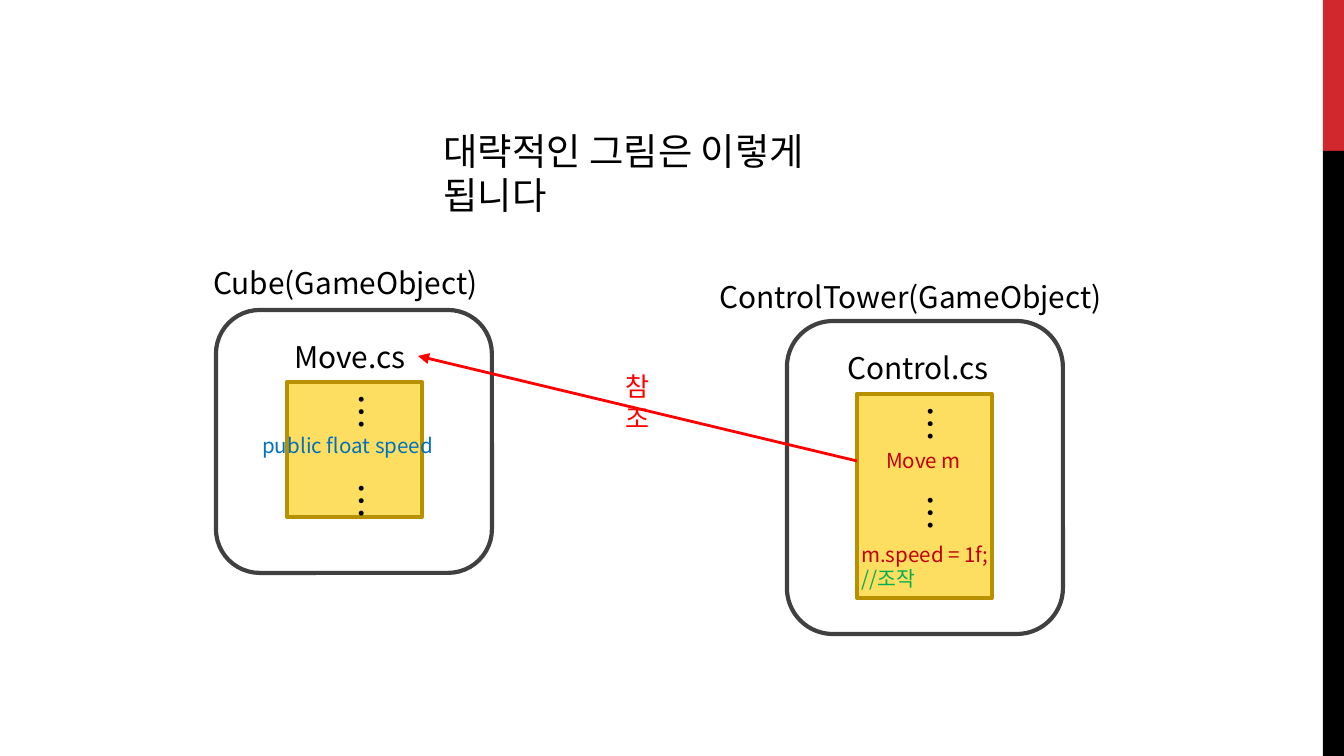
from dataclasses import dataclass

from lxml import etree
from pptx import Presentation
from pptx.dml import color as col
from pptx.enum import shapes, text
from pptx.oxml import ns
from pptx.util import Pt

SCALE = 9144000 / 1344
FONT = "Noto Sans CJK KR"
KIND = shapes.MSO_SHAPE


@dataclass
class Rect:
    x: int
    y: int
    w: int
    h: int


@dataclass
class Code:
    at: Rect
    lines: list[tuple[str, str]]


@dataclass
class Panel:
    frame: Rect
    box: Rect
    name: str
    label: Rect
    file: str
    tab: Rect
    codes: list[Code]


def px(n: int) -> int:
    return round(n * SCALE)


def place(r: Rect) -> list[int]:
    return [px(n) for n in (r.x, r.y, r.w, r.h)]


def rgb(tone: str) -> col.RGBColor:
    return col.RGBColor.from_string(tone)


def write(frame, lines: list[tuple[str, str]], size: int = 16, vert: str = "horz") -> None:
    frame.word_wrap = True
    frame.auto_size = text.MSO_AUTO_SIZE.NONE
    frame.vertical_anchor = text.MSO_ANCHOR.TOP
    frame._txBody.bodyPr.set("vert", vert)
    for i, (words, tone) in enumerate(lines):
        para = frame.add_paragraph() if i else frame.paragraphs[0]
        para.alignment = text.PP_ALIGN.LEFT
        run = para.add_run()
        run.text = words
        run.font.size = Pt(size)
        run.font.name = FONT
        run.font.color.rgb = rgb(tone)
        etree.SubElement(run._r.get_or_add_rPr(), ns.qn("a:ea"), typeface=FONT)


def note(slide, at: Rect, lines: list[tuple[str, str]], **form) -> None:
    write(slide.shapes.add_textbox(*place(at)).text_frame, lines, **form)


def block(slide, at: Rect, kind=KIND.RECTANGLE, fill: str = "", line: str = "") -> None:
    shape = slide.shapes.add_shape(kind, *place(at))
    shape.shadow.inherit = False
    if fill:
        shape.fill.solid()
        shape.fill.fore_color.rgb = rgb(fill)
    else:
        shape.fill.background()
    if line:
        shape.line.color.rgb = rgb(line)
        shape.line.width = Pt(2.25)
    else:
        shape.line.fill.background()


def arrow(slide, x1: int, y1: int, x2: int, y2: int, tone: str) -> None:
    link = slide.shapes.add_connector(
        shapes.MSO_CONNECTOR.STRAIGHT, px(x1), px(y1), px(x2), px(y2))
    link.line.color.rgb = rgb(tone)
    link.line.width = Pt(1.5)
    etree.SubElement(link.line._get_or_add_ln(), ns.qn("a:tailEnd"), type="triangle")
    etree.SubElement(link._element.spPr, ns.qn("a:effectLst"))


def draw(slide, p: Panel) -> None:
    block(slide, p.frame, KIND.ROUNDED_RECTANGLE, line="404040")
    block(slide, p.box, fill="FEDE61", line="B89101")
    note(slide, p.label, [(p.name, "000000")])
    note(slide, p.tab, [(p.file, "000000")])
    for drop in (-2, 87):
        dots = Rect(p.box.x + 31, p.box.y + drop, 73, 47)
        note(slide, dots, [("…", "000000")], size=20, vert="eaVert")
    for code in p.codes:
        note(slide, code.at, code.lines, size=11)


PANELS = [
    Panel(Rect(216, 310, 276, 263), Rect(287, 382, 135, 135),
          "Cube(GameObject)", Rect(200, 258, 308, 50),
          "Move.cs", Rect(281, 332, 147, 50),
          [Code(Rect(249, 426, 210, 39), [("public float speed", "0070C0")])]),
    Panel(Rect(787, 321, 276, 313), Rect(857, 394, 135, 204),
          "ControlTower(GameObject)", Rect(706, 272, 437, 50),
          "Control.cs", Rect(834, 343, 181, 50),
          [Code(Rect(873, 441, 105, 39), [("Move m", "C00000")]),
           Code(Rect(848, 535, 156, 63),
                [("m.speed = 1f;", "C00000"), ("//조작", "00B050")])]),
]


def main() -> None:
    deck = Presentation()
    deck.slide_width, deck.slide_height = px(1344), px(756)
    slide = deck.slides.add_slide(deck.slide_layouts[5])
    block(slide, Rect(1323, 0, 21, 151), fill="D1282E")
    block(slide, Rect(1323, 151, 21, 605), fill="000000")
    for panel in PANELS:
        draw(slide, panel)
    arrow(slide, 857, 461, 418, 356, "FF0000")
    note(slide, Rect(612, 364, 71, 46), [("참조", "FF0000")], size=14)
    title = slide.shapes.title
    title.left, title.top, title.width, title.height = place(Rect(430, 121, 482, 59))
    write(title.text_frame, [("대략적인 그림은 이렇게 됩니다", "000000")], size=20)
    deck.save("out.pptx")


if __name__ == "__main__":
    main()
